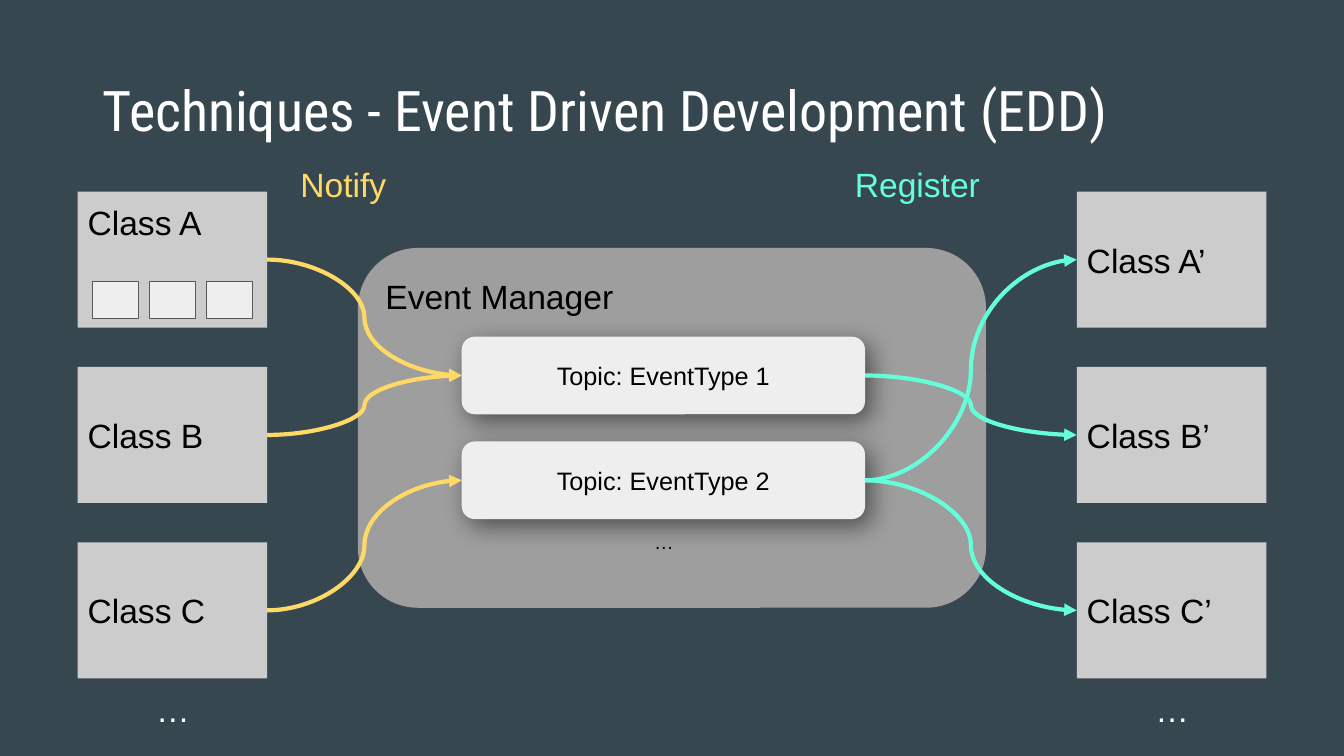
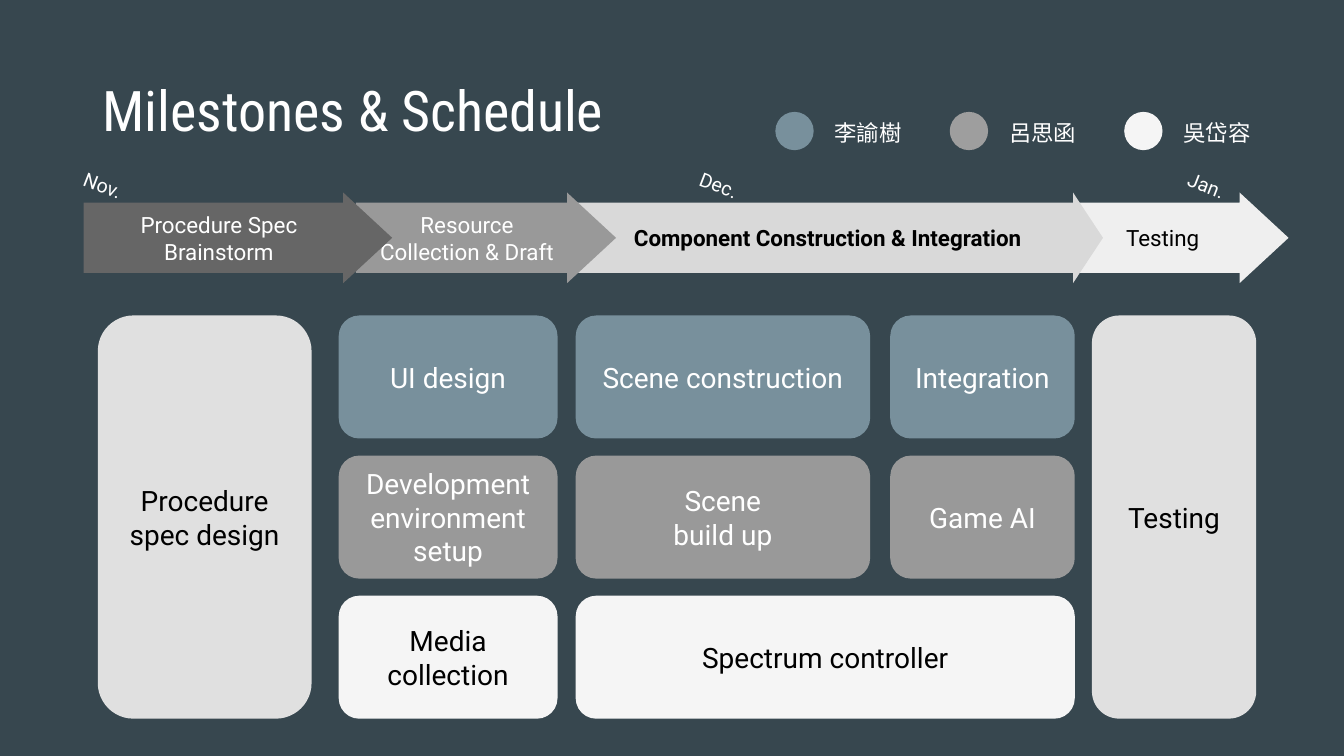
from dataclasses import dataclass
from typing import NamedTuple

from lxml.etree import SubElement
from pptx import Presentation
from pptx.dml.color import RGBColor
from pptx.enum.shapes import MSO_CONNECTOR, MSO_SHAPE
from pptx.enum.text import MSO_ANCHOR, PP_ALIGN
from pptx.oxml.ns import qn
from pptx.shapes.autoshape import Shape
from pptx.slide import Slide
from pptx.util import Inches, Pt


@dataclass(frozen=True)
class Theme:
    background: str = "37474F"
    white: str = "FFFFFF"
    black: str = "000000"
    class_fill: str = "CCCCCC"
    manager_fill: str = "9E9E9E"
    topic_fill: str = "EEEEEE"
    outline: str = "595959"
    notify: str = "FFD966"
    register: str = "64FFDA"
    slate: str = "78909C"
    gray: str = "999999"
    pale: str = "F5F5F5"
    shared: str = "E0E0E0"
    title_font: str = "Roboto Condensed"
    diagram_font: str = "Arial"
    schedule_font: str = "Roboto"
    title_size: float = 40
    class_size: float = 24
    task_size: float = 20
    topic_size: float = 18
    phase_size: float = 16
    small_size: float = 14


THEME = Theme()


class Area(NamedTuple):
    left: float
    top: float
    width: float
    height: float

    def lengths(self) -> list:
        return [Inches(value) for value in self]


class Style(NamedTuple):
    font: str
    size: float
    color: str
    align: PP_ALIGN = PP_ALIGN.CENTER
    anchor: MSO_ANCHOR = MSO_ANCHOR.MIDDLE
    bold: bool = False
    line_spacing: float = 1.0
    inset: float = 0.1


class Phase(NamedTuple):
    left: float
    width: float
    text: str
    fill: str
    color: str
    bold: bool = False
    head: float = 0.54


class Task(NamedTuple):
    text: str
    column: int
    row: int
    fill: str
    color: str = THEME.white
    columns: int = 1
    rows: int = 1


class Owner(NamedTuple):
    name: str
    fill: str


class Month(NamedTuple):
    name: str
    left: float


TITLE_AREA = Area(0.92, 0.4, 11.5, 1.45)
TITLE_STYLE = Style(THEME.title_font, THEME.title_size, THEME.white,
                    PP_ALIGN.LEFT, line_spacing=0.9, inset=0.05)

# Event diagram grid
CLASS_LEFTS = (0.77, 10.68)
CLASS_TOP, CLASS_PITCH, CLASS_WIDTH, CLASS_HEIGHT = 1.9, 1.74, 1.88, 1.35
CLASS_NAMES = ("Class A", "Class B", "Class C")
TOPIC_TOP, TOPIC_PITCH = 3.34, 1.04
NOTIFICATIONS = ((0, 0), (1, 0), (2, 1))   # class row, topic row
REGISTRATIONS = ((0, 1), (1, 0), (1, 2))   # topic row, class row

# Schedule grid: left and width of each column
COLUMNS = ((0.97, 2.12), (3.36, 2.17), (5.71, 2.92), (8.83, 1.83), (10.83, 1.63))
ROW_TOP, ROW_HEIGHT, ROW_GAP = 3.13, 1.22, 0.17

PHASES = (
    Phase(0.83, 3.06, "Procedure Spec Brainstorm", "666666", THEME.white),
    Phase(3.53, 2.58, "Resource\nCollection & Draft", THEME.gray, THEME.white),
    Phase(5.71, 5.23, "Component Construction & Integration", "D9D9D9",
          THEME.black, True, 0.33),
    Phase(10.66, 2.12, "Testing", "EFEFEF", THEME.black),
)
MONTHS = (Month("Nov.", 0.24), Month("Dec.", 6.35), Month("Jan.", 11.18))
OWNERS = (Owner("李諭樹", THEME.slate), Owner("呂思函", THEME.manager_fill),
          Owner("吳岱容", THEME.pale))
TASKS = (
    Task("Procedure spec design", 0, 0, THEME.shared, THEME.black, rows=3),
    Task("UI design", 1, 0, THEME.slate),
    Task("Development environment setup", 1, 1, THEME.gray),
    Task("Media collection", 1, 2, THEME.pale, THEME.black),
    Task("Scene construction", 2, 0, THEME.slate),
    Task("Scene\nbuild up", 2, 1, THEME.gray),
    Task("Spectrum controller", 2, 2, THEME.pale, THEME.black, columns=2),
    Task("Integration", 3, 0, THEME.slate),
    Task("Game AI", 3, 1, THEME.gray),
    Task("Testing", 4, 0, THEME.shared, THEME.black, rows=3),
)


def write(shape: Shape, text: str, style: Style) -> None:
    frame = shape.text_frame
    frame.word_wrap = True
    frame.vertical_anchor = style.anchor
    frame.margin_left = frame.margin_right = Inches(0.1)
    frame.margin_top = frame.margin_bottom = Inches(style.inset)
    para = frame.paragraphs[0]
    para.text = text
    para.alignment = style.align
    para.line_spacing = style.line_spacing
    for span in para.runs:
        span.font.name = style.font
        span.font.size = Pt(style.size)
        span.font.bold = style.bold
        span.font.color.rgb = RGBColor.from_string(style.color)


def add_label(page: Slide, area: Area, text: str, style: Style) -> Shape:
    box = page.shapes.add_textbox(*area.lengths())
    write(box, text, style)
    return box


def add_block(page: Slide, kind: MSO_SHAPE, area: Area, fill: str,
              outline: str | None = None) -> Shape:
    block = page.shapes.add_shape(kind, *area.lengths())
    block.shadow.inherit = False
    block.fill.solid()
    block.fill.fore_color.rgb = RGBColor.from_string(fill)
    if outline:
        block.line.color.rgb = RGBColor.from_string(outline)
        block.line.width = Pt(0.75)
    else:
        block.line.fill.background()
    return block


def cast_shadow(block: Shape) -> None:
    effects = block.element.spPr.find(qn("a:effectLst"))
    shadow = SubElement(effects, qn("a:outerShdw"), blurRad=str(Pt(18)),
                        dist=str(Pt(6.8)), dir=str(47 * 60000),
                        algn="bl", rotWithShape="0")
    color = SubElement(shadow, qn("a:srgbClr"), val=THEME.black)
    SubElement(color, qn("a:alpha"), val="50000")


def connect(page: Slide, source: Shape, target: Shape, color: str) -> None:
    """Draw a curved arrow from the right side of source to the left of target."""
    curve = page.shapes.add_connector(
        MSO_CONNECTOR.CURVE,
        source.left + source.width, source.top + source.height // 2,
        target.left, target.top + target.height // 2)
    curve.begin_connect(source, 3)
    curve.end_connect(target, 1)
    curve.line.color.rgb = RGBColor.from_string(color)
    curve.line.width = Pt(3)
    SubElement(curve.line._get_or_add_ln(), qn("a:tailEnd"), type="triangle")
    SubElement(curve.element.spPr, qn("a:effectLst"))


def add_page(deck: Presentation, title: str) -> Slide:
    page = deck.slides.add_slide(deck.slide_layouts[6])
    add_label(page, TITLE_AREA, title, TITLE_STYLE)
    return page


def add_class_column(page: Slide, left: float, suffix: str, first_anchor: MSO_ANCHOR) -> list[Shape]:
    style = Style(THEME.diagram_font, THEME.class_size, THEME.black, PP_ALIGN.LEFT)
    blocks = []
    for row, name in enumerate(CLASS_NAMES):
        area = Area(left, CLASS_TOP + row * CLASS_PITCH, CLASS_WIDTH, CLASS_HEIGHT)
        block = add_block(page, MSO_SHAPE.RECTANGLE, area, THEME.class_fill)
        anchor = MSO_ANCHOR.MIDDLE if row else first_anchor
        write(block, name + suffix, style._replace(anchor=anchor))
        blocks.append(block)
    add_label(page, Area(left + 0.49, 6.73, 0.91, 0.61), "…",
              style._replace(color=THEME.white, align=PP_ALIGN.CENTER,
                             anchor=MSO_ANCHOR.TOP))
    return blocks


def add_event_page(deck: Presentation) -> None:
    page = add_page(deck, "Techniques - Event Driven Development (EDD)")
    heading = Style(THEME.diagram_font, THEME.class_size, THEME.black,
                    PP_ALIGN.LEFT, MSO_ANCHOR.TOP)
    topic_style = Style(THEME.diagram_font, THEME.topic_size, THEME.black)
    senders = add_class_column(page, CLASS_LEFTS[0], "", MSO_ANCHOR.TOP)
    receivers = add_class_column(page, CLASS_LEFTS[1], "’", MSO_ANCHOR.MIDDLE)
    for column in range(3):
        add_block(page, MSO_SHAPE.RECTANGLE, Area(0.92 + column * 0.565, 2.79, 0.45, 0.37),
                  THEME.topic_fill, THEME.outline)

    manager = add_block(page, MSO_SHAPE.ROUNDED_RECTANGLE,
                        Area(3.55, 2.46, 6.23, 3.57), THEME.manager_fill)
    write(manager, "Event Manager", heading)
    topics = []
    for row in range(2):
        topic = add_block(page, MSO_SHAPE.ROUNDED_RECTANGLE,
                          Area(4.58, TOPIC_TOP + row * TOPIC_PITCH, 4, 0.77),
                          THEME.topic_fill)
        cast_shadow(topic)
        write(topic, f"Topic: EventType {row + 1}", topic_style)
        topics.append(topic)
    add_label(page, Area(6.13, 5.16, 0.91, 0.44), "…",
              topic_style._replace(size=THEME.small_size, anchor=MSO_ANCHOR.TOP))

    for sender, topic in NOTIFICATIONS:
        connect(page, senders[sender], topics[topic], THEME.notify)
    for topic, receiver in REGISTRATIONS:
        connect(page, topics[topic], receivers[receiver], THEME.register)
    add_label(page, Area(2.88, 1.53, 1.48, 0.61), "Notify",
              heading._replace(color=THEME.notify))
    add_label(page, Area(8.38, 1.53, 2.1, 0.61), "Register",
              heading._replace(color=THEME.register))


def task_area(task: Task) -> Area:
    left = COLUMNS[task.column][0]
    last_left, last_width = COLUMNS[task.column + task.columns - 1]
    return Area(left, ROW_TOP + task.row * (ROW_HEIGHT + ROW_GAP),
                last_left + last_width - left,
                task.rows * (ROW_HEIGHT + ROW_GAP) - ROW_GAP)


def add_schedule_page(deck: Presentation) -> None:
    page = add_page(deck, "Milestones & Schedule")
    base = Style(THEME.schedule_font, THEME.phase_size, THEME.white)
    # Later phases go first, so each arrowhead overlaps the next phase.
    for phase in reversed(PHASES):
        arrow = add_block(page, MSO_SHAPE.RIGHT_ARROW,
                          Area(phase.left, 1.91, phase.width, 0.9), phase.fill)
        arrow.adjustments[0] = 0.775
        arrow.adjustments[1] = phase.head
        write(arrow, phase.text, base._replace(color=phase.color, bold=phase.bold))
    for month in MONTHS:
        label = add_label(page, Area(month.left, 1.49, 1.1, 0.44), month.name,
                          base._replace(size=THEME.small_size, align=PP_ALIGN.RIGHT,
                                        anchor=MSO_ANCHOR.TOP, line_spacing=1.15))
        label.rotation = 21.3
    for task in TASKS:
        block = add_block(page, MSO_SHAPE.ROUNDED_RECTANGLE, task_area(task), task.fill)
        write(block, task.text, base._replace(size=THEME.task_size, color=task.color))
    for column, owner in enumerate(OWNERS):
        left = 7.69 + column * 1.73
        add_block(page, MSO_SHAPE.OVAL, Area(left, 1.11, 0.38, 0.38), owner.fill)
        add_label(page, Area(left + 0.49, 1.08, 1.15, 0.47), owner.name,
                  base._replace(align=PP_ALIGN.LEFT, anchor=MSO_ANCHOR.TOP))


def main() -> None:
    deck = Presentation()
    deck.slide_width, deck.slide_height = Inches(13.33), Inches(7.5)
    backdrop = deck.slide_master.background.fill
    backdrop.solid()
    backdrop.fore_color.rgb = RGBColor.from_string(THEME.background)
    add_event_page(deck)
    add_schedule_page(deck)
    deck.save("out.pptx")


if __name__ == "__main__":
    main()
